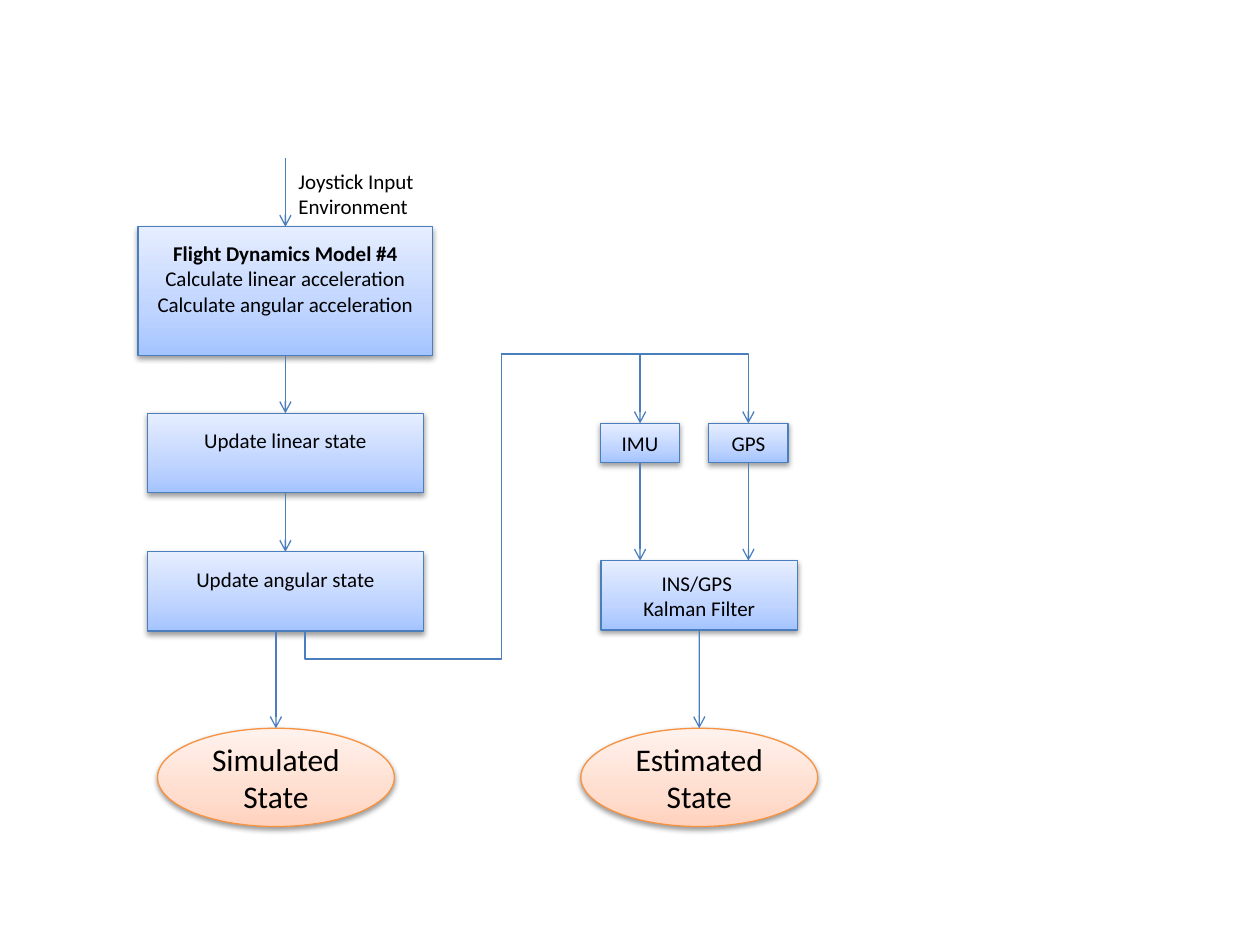
from copy import deepcopy
from dataclasses import dataclass

from lxml import etree
from pptx import Presentation
from pptx.dml.color import RGBColor
from pptx.enum.shapes import MSO_CONNECTOR, MSO_SHAPE
from pptx.enum.text import MSO_ANCHOR, PP_ALIGN
from pptx.oxml.ns import qn
from pptx.util import Inches, Pt

RECTANGLE, OVAL = MSO_SHAPE.RECTANGLE, MSO_SHAPE.OVAL
STRAIGHT, ELBOW = MSO_CONNECTOR.STRAIGHT, MSO_CONNECTOR.ELBOW
LEFT, CENTER = PP_ALIGN.LEFT, PP_ALIGN.CENTER
TOP, MIDDLE = MSO_ANCHOR.TOP, MSO_ANCHOR.MIDDLE
TOP_SITE, BOTTOM_SITE = 0, 2
BLANK_LAYOUT = 6


@dataclass(frozen=True)
class Theme:
    """Colours, type and line sizes of the diagram."""
    font: str = "Calibri"
    text: str = "000000"
    step_line: str = "4B7EBC"
    step_fill: tuple = ("A4C4FF", "BFD4FF", "E6EEFF")
    state_line: str = "F69240"
    state_fill: tuple = ("FFD2BD", "FFDED0", "FFF2ED")
    fill_positions: tuple = (0, 0.35, 1)
    body_size: float = 12
    state_size: float = 18
    line_width: float = 0.75


THEME = Theme()


def write_text(shape, lines, size=THEME.body_size, align=CENTER, anchor=MIDDLE,
               bold_first=False, bottom_inset=0.05):
    """Write one paragraph per line into a shape."""
    frame = shape.text_frame
    frame.word_wrap = True
    frame.vertical_anchor = anchor
    frame.margin_bottom = Inches(bottom_inset)
    for index, line in enumerate(lines):
        paragraph = frame.add_paragraph() if index else frame.paragraphs[0]
        paragraph.alignment = align
        run = paragraph.add_run()
        run.text = line
        run.font.name = THEME.font
        run.font.size = Pt(size)
        run.font.bold = bold_first and index == 0
        run.font.color.rgb = RGBColor.from_string(THEME.text)


def style_line(line, color):
    """Give an outline or connector its colour and width."""
    line.color.rgb = RGBColor.from_string(color)
    line.width = Pt(THEME.line_width)


def fill_gradient(shape, colors):
    """Fill a shape with three colours running from bottom to top."""
    shape.fill.gradient()
    shape.fill.gradient_angle = 90
    stop_list = shape._element.spPr.find(".//" + qn("a:gsLst"))
    stop_list.append(deepcopy(stop_list[-1]))
    for stop, color, position in zip(shape.fill.gradient_stops, colors,
                                     THEME.fill_positions):
        stop.color.rgb = RGBColor.from_string(color)
        stop.position = position


def add_shadow(shape):
    """Replace the themed shadow with a soft one below the shape."""
    shape.shadow.inherit = False
    effects = shape._element.spPr.find(qn("a:effectLst"))
    shadow = etree.SubElement(effects, qn("a:outerShdw"), blurRad="40000",
                              dist="20000", dir="5400000", rotWithShape="0")
    color = etree.SubElement(shadow, qn("a:srgbClr"), val="000000")
    etree.SubElement(color, qn("a:alpha"), val="38000")


def add_node(slide, kind, center, top, width, height, fill, line):
    """Add a shaded shape centred on a horizontal position."""
    node = slide.shapes.add_shape(kind, Inches(center - width / 2), Inches(top),
                                  Inches(width), Inches(height))
    fill_gradient(node, fill)
    style_line(node.line, line)
    add_shadow(node)
    return node


def add_step(slide, center, top, width, height, lines, **text_format):
    """Add a blue process box."""
    step = add_node(slide, RECTANGLE, center, top, width, height,
                    THEME.step_fill, THEME.step_line)
    write_text(step, lines, **text_format)
    return step


def add_state(slide, center, lines):
    """Add an orange result oval."""
    state = add_node(slide, OVAL, center, 5.78, 1.88, 0.78,
                     THEME.state_fill, THEME.state_line)
    write_text(state, lines, size=THEME.state_size)
    return state


def add_label(slide, left, top, width, height, lines):
    """Add a plain left-aligned label."""
    label = slide.shapes.add_textbox(Inches(left), Inches(top),
                                     Inches(width), Inches(height))
    write_text(label, lines, align=LEFT, anchor=TOP)


def add_link(slide, kind, start, end, arrow=True):
    """Add a connector between two points, with an optional arrowhead."""
    link = slide.shapes.add_connector(kind, *map(Inches, start + end))
    style_line(link.line, THEME.step_line)
    if arrow:
        etree.SubElement(link.line._get_or_add_ln(), qn("a:tailEnd"), type="arrow")
    etree.SubElement(link._element.spPr, qn("a:effectLst"))
    return link


def add_down_arrow(slide, x, top, bottom, source=None, target=None):
    """Add a vertical arrow, joined to the boxes it meets at mid-side."""
    link = add_link(slide, STRAIGHT, (x, top), (x, bottom))
    if source is not None:
        link.begin_connect(source, BOTTOM_SITE)
    if target is not None:
        link.end_connect(target, TOP_SITE)


def add_feedback(slide, start, end, drop):
    """Route a line down below its start, across, and up to its end."""
    center_x, center_y = (start[0] + end[0]) / 2, (start[1] + end[1]) / 2
    rise, run = start[1] - end[1], end[0] - start[0]
    link = add_link(slide, ELBOW,
                    (center_x + rise / 2, center_y + run / 2),
                    (center_x - rise / 2, center_y - run / 2), arrow=False)
    properties = link._element.spPr
    properties.find(qn("a:xfrm")).set("rot", "5400000")
    adjustments = properties.find(".//" + qn("a:avLst"))
    etree.SubElement(adjustments, qn("a:gd"), name="adj1",
                     fmla=f"val {round(-drop / rise * 100000)}")


def add_corner_arrow(slide, start, end):
    """Route an arrow across and then down to its end."""
    link = add_link(slide, ELBOW, start, end)
    link._element.spPr.find(qn("a:prstGeom")).set("prst", "bentConnector2")


def main():
    """Build the flight simulation and state estimation flow."""
    deck = Presentation()
    deck.slide_width, deck.slide_height = Inches(10), Inches(7.5)
    slide = deck.slides.add_slide(deck.slide_layouts[BLANK_LAYOUT])

    dynamics_x, simulated_x = 2.265, 2.19
    imu_x, gps_x, filter_x = 5.08, 5.94, 5.55
    branch_x, branch_y, steps_bottom = 3.98, 2.81, 5

    model = add_step(slide, dynamics_x, 1.8, 2.34, 1.02,
                     ["Flight Dynamics Model #4", "Calculate linear acceleration",
                      "Calculate angular acceleration"],
                     bold_first=True, bottom_inset=0.25)
    linear, angular = [
        add_step(slide, dynamics_x, top, 2.19, 0.63, [caption], bottom_inset=0.25)
        for top, caption in ((3.28, "Update linear state"),
                             (4.38, "Update angular state"))]
    imu, gps = [add_step(slide, x, 3.36, 0.63, 0.31, [sensor])
                for x, sensor in ((imu_x, "IMU"), (gps_x, "GPS"))]
    kalman = add_step(slide, filter_x, 4.45, 1.56, 0.55,
                      ["INS/GPS ", "Kalman Filter"])
    simulated = add_state(slide, simulated_x, ["Simulated State"])
    estimated = add_state(slide, filter_x, ["Estimated", "State"])
    add_label(slide, 2.27, 1.29, 1.88, 0.5, ["Joystick Input", "Environment"])

    add_down_arrow(slide, dynamics_x, 1.25, 1.8, target=model)
    add_down_arrow(slide, dynamics_x, 2.82, 3.28, model, linear)
    add_down_arrow(slide, dynamics_x, 3.91, 4.38, linear, angular)
    add_down_arrow(slide, simulated_x, steps_bottom, 5.78, target=simulated)
    add_down_arrow(slide, filter_x, steps_bottom, 5.78, kalman, estimated)
    add_down_arrow(slide, imu_x, branch_y, 3.36, target=imu)
    for x, sensor in ((imu_x, imu), (gps_x, gps)):
        add_down_arrow(slide, x, 3.67, 4.45, source=sensor)
    add_feedback(slide, (2.42, steps_bottom), (branch_x, branch_y), drop=0.23)
    add_corner_arrow(slide, (branch_x, branch_y), (gps_x, 3.36))

    deck.save("out.pptx")


if __name__ == "__main__":
    main()
